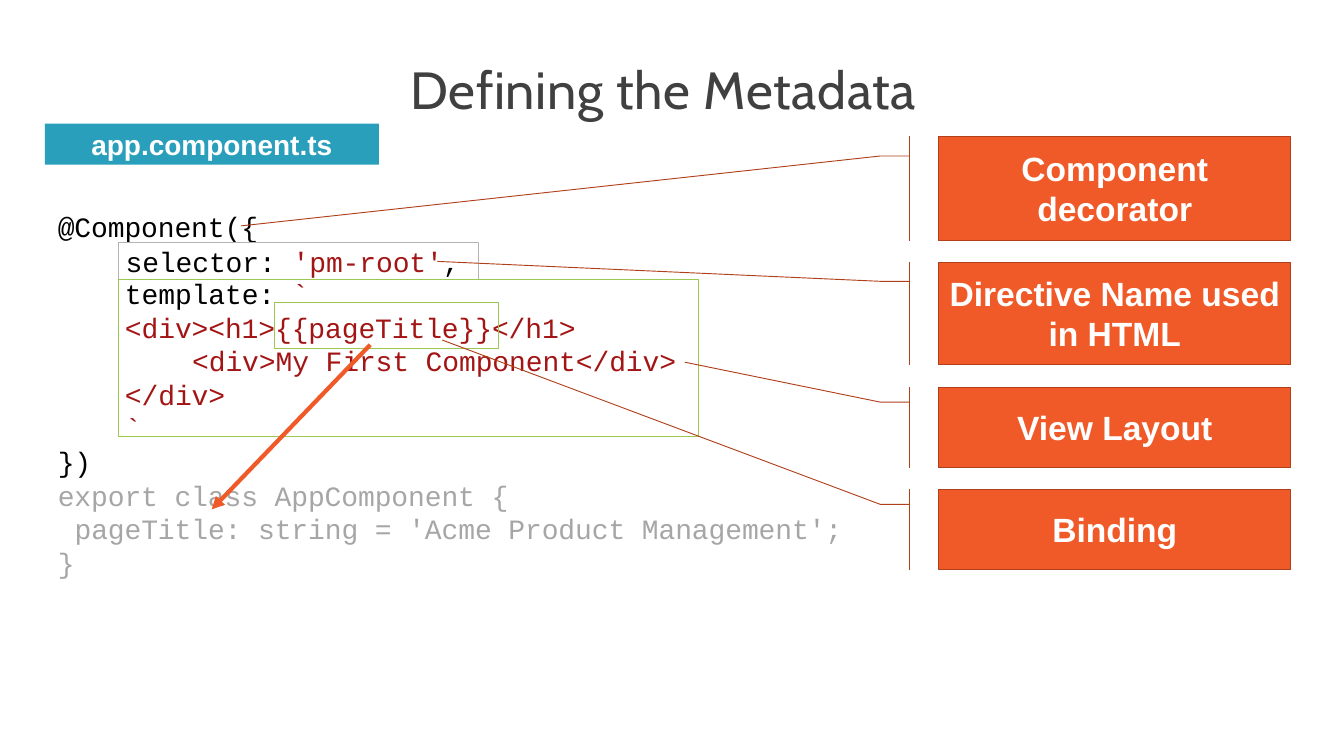
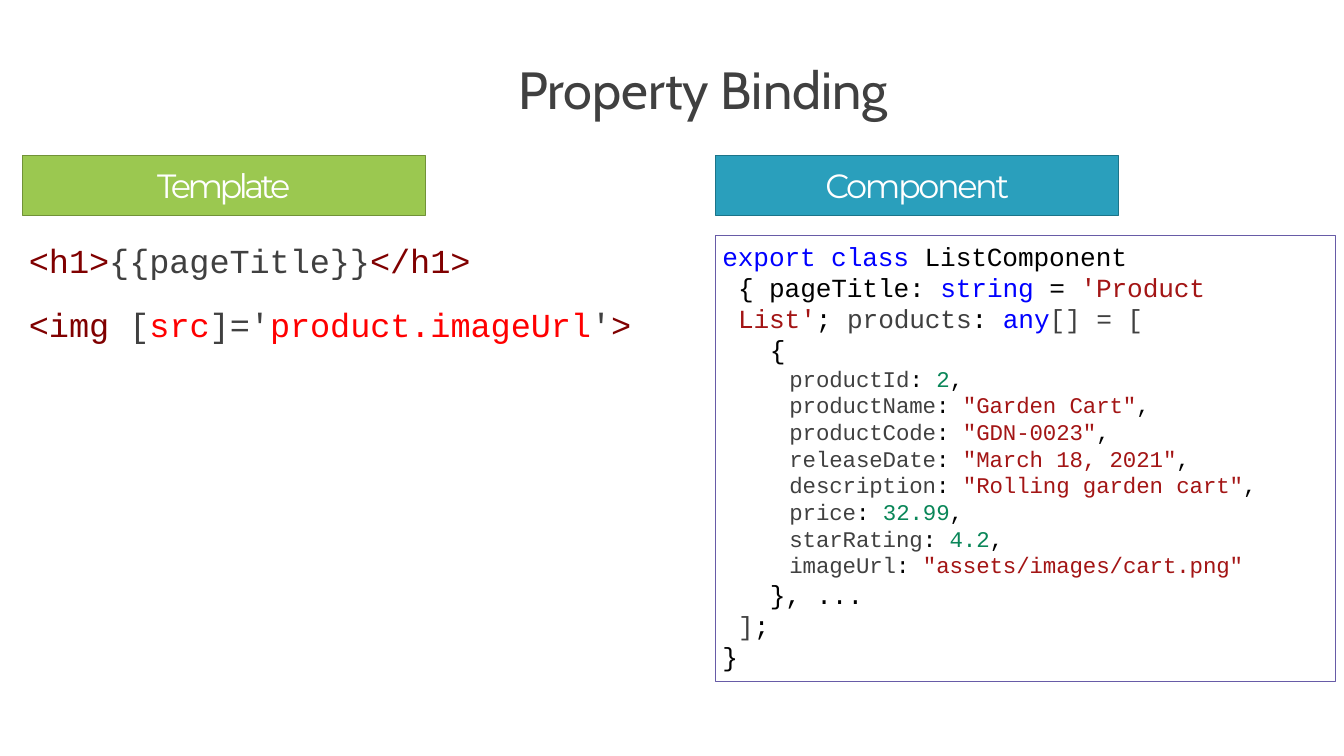
"""Build two slides on component metadata and property binding."""
from lxml import etree
from pptx import Presentation
from pptx import util as u
from pptx.dml.color import RGBColor
from pptx.enum import shapes, text
from pptx.oxml import ns

C = {
    "title": "404040", "white": "FFFFFF", "black": "000000", "grey": "B3B3B3",
    "faded": "A6A6A6", "orange": "F05A28", "rust": "B0401A", "teal": "2A9FBC",
    "teal_edge": "1C7489", "green": "9BC850", "green_edge": "719238",
    "purple": "675BA7", "string": "A31515", "keyword": "0000FF",
    "number": "098658", "tag": "800000", "red": "FF0000",
}
Pt = u.Pt
LINE_PITCH = 1.19


class Deck:
    """Hold the style and the current slide, and draw each kind of element."""

    def __init__(self):
        """Start an empty 20 by 11.25 inch presentation."""
        self.prs = Presentation()
        self.prs.slide_width, self.prs.slide_height = Pt(1440), Pt(810)
        self.s = None

    def color(self, name):
        """Return a named colour."""
        return RGBColor.from_string(C[name])

    def style(self, r, font, size, color, spc=0, bold=False):
        """Format one run."""
        f = r.font
        f.name, f.size, f.bold = font, Pt(size), bold
        f.color.rgb = self.color(color)
        r._r.get_or_add_rPr().set("spc", str(round(spc * 100)))

    def frame(self, sp, top=0, anchor=text.MSO_ANCHOR.TOP):
        """Prepare a text frame with no side margins."""
        tf = sp.text_frame
        tf.word_wrap, tf.auto_size = True, text.MSO_AUTO_SIZE.NONE
        tf.margin_left = tf.margin_right = tf.margin_bottom = 0
        tf.margin_top, tf.vertical_anchor = Pt(top), anchor
        return tf

    def paint(self, sp, fill=None, line=None, width=1):
        """Set fill and line of a shape, and drop its shadow."""
        sp.shadow.inherit = False
        if fill:
            sp.fill.solid()
            sp.fill.fore_color.rgb = self.color(fill)
        else:
            sp.fill.background()
        if line:
            sp.line.color.rgb = self.color(line)
            sp.line.width = Pt(width)
        else:
            sp.line.fill.background()

    def slide(self, title, x, w, spc=0):
        """Add a slide with its title."""
        self.s = self.prs.slides.add_slide(self.prs.slide_layouts[5])
        sp = self.s.shapes.title
        sp.left, sp.top, sp.width, sp.height = Pt(x), Pt(59), Pt(w), Pt(69)
        tf = self.frame(sp, top=2)
        tf.text = title
        p = tf.paragraphs[0]
        p.alignment = text.PP_ALIGN.LEFT
        self.style(p.runs[0], "Cabin", 56, "title", spc)

    def box(self, x, y, w, h, fill=None, line=None, width=1):
        """Add a rectangle."""
        sp = self.s.shapes.add_shape(
            shapes.MSO_SHAPE.RECTANGLE, Pt(x), Pt(y), Pt(w), Pt(h))
        self.paint(sp, fill, line, width)
        return sp

    def label(self, sp, words, font="Arial", size=36, spc=0, bold=True):
        """Centre words in a shape, one paragraph a line."""
        tf = self.frame(sp, anchor=text.MSO_ANCHOR.MIDDLE)
        tf.text = words
        for p in tf.paragraphs:
            p.alignment = text.PP_ALIGN.CENTER
            p.line_spacing = Pt(size * LINE_PITCH)
            self.style(p.runs[0], font, size, "white", spc, bold)

    def textbox(self, x, y, w, h):
        """Add an empty text box."""
        return self.s.shapes.add_textbox(Pt(x), Pt(y), Pt(w), Pt(h))

    def code(self, sp, lines, size=30, top=4, gap=0):
        """Write code lines given as indent, runs and an optional own size."""
        tf = self.frame(sp, top)
        for i, (indent, runs, *own) in enumerate(lines):
            p = tf.add_paragraph() if i else tf.paragraphs[0]
            pt = own[0] if own else size
            p.alignment = text.PP_ALIGN.LEFT
            p.line_spacing = Pt(pt * LINE_PITCH)
            p.space_before = Pt(gap if i else 0)
            pPr = p._p.get_or_add_pPr()
            pPr.set("marL", str(Pt(indent)))
            pPr.set("indent", "0")
            for words, color in runs:
                r = p.add_run()
                r.text = words
                self.style(r, "Courier New", pt, color, -0.1)

    def callout(self, y, h, words, target):
        """Add an orange label with an accent bar and a leader to the code."""
        bar, elbow, leader = 974.4, 943.2, y + h * 0.1875
        fb = self.s.shapes.build_freeform(Pt(bar), Pt(y))
        fb.add_line_segments([(Pt(bar), Pt(y + h))], close=False)
        fb.move_to(Pt(bar), Pt(leader))
        fb.add_line_segments(
            [(Pt(elbow), Pt(leader)), tuple(map(Pt, target))], close=False)
        self.paint(fb.convert_to_shape(), line="rust")
        self.label(self.box(1005.6, y, 377.6, h, "orange", "rust"), words)

    def arrow(self, x1, y1, x2, y2):
        """Add a thick orange arrow."""
        c = self.s.shapes.add_connector(
            shapes.MSO_CONNECTOR.STRAIGHT, Pt(x1), Pt(y1), Pt(x2), Pt(y2))
        c.line.color.rgb, c.line.width = self.color("orange"), Pt(4.5)
        etree.SubElement(c.line._get_or_add_ln(), ns.qn("a:tailEnd"), type="triangle")
        etree.SubElement(c._element.spPr, ns.qn("a:effectLst"))


def metadata_slide(d):
    """Build the slide on component metadata."""
    d.slide("Defining the Metadata", 439.9, 561, 0.75)
    left, inner = 61.9, 133.9
    d.code(d.textbox(left, 221, 240, 38), [(0, [("@Component({", "black")])])
    d.code(d.box(127.4, 260, 385.2, 39, line="grey"), [
        (7.2, [("selector: ", "black"), ("'pm-root'", "string"), (",", "black")]),
    ], top=2)
    d.code(d.textbox(inner, 293, 220, 38), [
        (0, [("template: ", "black"), ("`", "string")])])
    d.code(d.textbox(inner, 329, 596, 146), [
        (0, [("<div><h1>{{pageTitle}}</h1>", "string")]),
        (72, [("<div>My First Component</div>", "string")]),
        (0, [("</div>", "string")]),
        (0, [("`", "string")]),
    ])
    d.code(d.textbox(left, 473, 60, 38), [(0, [("})", "black")])])
    d.code(d.textbox(left, 509, 860, 110), [
        (0, [("export class AppComponent {", "faded")]),
        (18, [("pageTitle: string = 'Acme Product Management';", "faded")]),
        (0, [("}", "faded")]),
    ])
    d.box(127.4, 299, 620.6, 169, line="green")
    d.box(294.5, 324, 240, 49, line="green")
    d.arrow(396.7, 369.4, 226.8, 545.8)
    for y, h, words, target in [
        (146.2, 111.6, "Component\ndecorator", (258.5, 242)),
        (280.8, 110.2, "Directive Name used\nin HTML", (468.7, 280.1)),
        (414.7, 86.4, "View Layout", (733.7, 388.1)),
        (524.2, 86.4, "Binding", (473.8, 364.3)),
    ]:
        d.callout(y, h, words, target)
    d.label(d.box(48.2, 132.5, 357.8, 44, "teal"), "app.component.ts", size=30)


def field(name, value, color, end=","):
    """Return one code line for a field of the product."""
    return 79, [(name, "title"), (": ", "black"), (value, color), (end, "black")][:4 if end else 3], 24


def binding_slide(d):
    """Build the slide on property binding."""
    d.slide("Property Binding", 555.2, 481)
    d.code(d.textbox(31, 253.4, 651, 114), [
        (0, [("<h1>", "tag"), ("{{pageTitle}}", "title"), ("</h1>", "tag")]),
        (0, [("<img ", "tag"), ("[", "title"), ("src", "red"), ("]='", "title"),
             ("product.imageUrl", "red"), ("'", "title"), (">", "tag")]),
    ], size=36, gap=26)
    for x, words, color, spc in [
        (23.8, "Template", "green", -3.8), (766.8, "Component", "teal", -2.6),
    ]:
        sp = d.box(x, 167, 432, 63.4, color, color + "_edge")
        d.label(sp, words, "Montserrat", spc=spc, bold=False)
    d.code(d.box(766.8, 252.7, 663.8, 477.4, line="purple", width=0.75), [
        (7.2, [("export class ", "keyword"), ("ListComponent", "black")]),
        (24, [("{ pageTitle: ", "black"), ("string ", "keyword"),
              ("= ", "black"), ("'Product", "string")]),
        (24, [("List'", "string"), ("; ", "black"), ("products", "title"),
              (": ", "black"), ("any", "keyword"), ("[] = [", "title")]),
        (58, [("{", "black")]),
        field("productId", "2", "number"),
        field("productName", '"Garden Cart"', "string"),
        field("productCode", '"GDN-0023"', "string"),
        field("releaseDate", '"March 18, 2021"', "string"),
        field("description", '"Rolling garden cart"', "string"),
        field("price", "32.99", "number"),
        field("starRating", "4.2", "number"),
        field("imageUrl", '"assets/images/cart.png"', "string", ""),
        (58, [("}, ...", "black")]),
        (24, [("]", "title"), (";", "black")]),
        (7.2, [("}", "black")]),
    ], size=28, top=5)


def main():
    """Build and save the presentation."""
    d = Deck()
    metadata_slide(d)
    binding_slide(d)
    d.prs.save("out.pptx")


if __name__ == "__main__":
    main()
